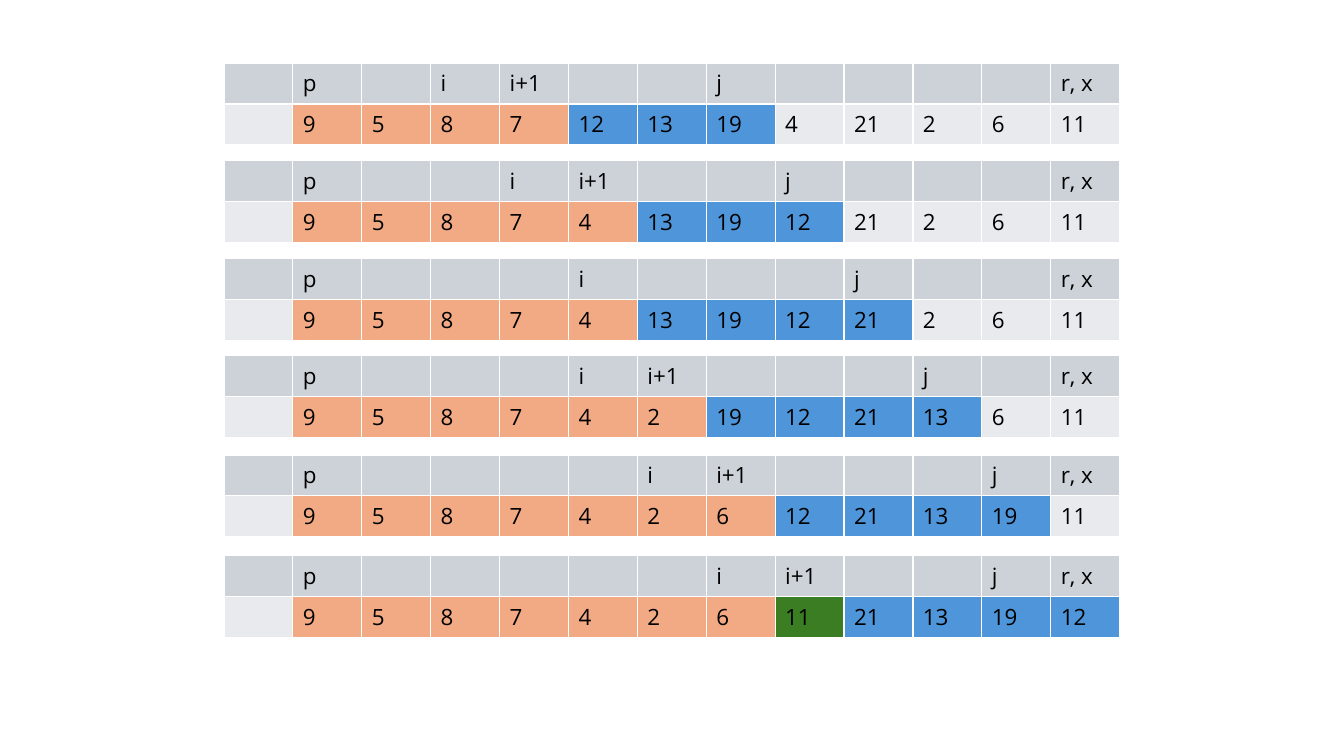
"""Draw the partition steps of quicksort as six two-row tables on one slide."""
from dataclasses import dataclass

from lxml import etree
from pptx import Presentation
from pptx import util as u
from pptx.dml.color import RGBColor
from pptx.oxml import ns

PX = 6350
COLUMNS = 13


@dataclass(frozen=True)
class Theme:
    font: str = "Open Sans"
    size: int = 16
    ink: str = "000000"
    border: str = "FFFFFF"
    border_pt: int = 1
    header: str = "CCD2D8"
    pending: str = "E8EAED"
    smaller: str = "F2AA84"
    larger: str = "4E95D9"
    pivot: str = "3B7D23"


@dataclass(frozen=True)
class Step:
    top: int
    values: tuple[int, ...]
    i: int
    j: int
    smaller: int
    larger: int
    pivot: int = 0
    show_next: bool = True

    def labels(self) -> list[str]:
        marks = {1: "p", self.i: "i", self.j: "j", COLUMNS - 1: "r, x"}
        if self.show_next:
            marks[self.i + 1] = "i+1"
        return [marks.get(column, "") for column in range(COLUMNS)]

    def fills(self) -> list[str]:
        groups = (
            [THEME.pending]
            + [THEME.smaller] * self.smaller
            + [THEME.pivot] * self.pivot
            + [THEME.larger] * self.larger
        )
        return groups + [THEME.pending] * (COLUMNS - len(groups))


THEME = Theme()
LEFT, WIDTH, HEIGHT = 320, 1280, 117
STEPS = (
    Step(90, (9, 5, 8, 7, 12, 13, 19, 4, 21, 2, 6, 11), 3, 7, 4, 3),
    Step(229, (9, 5, 8, 7, 4, 13, 19, 12, 21, 2, 6, 11), 4, 8, 5, 3),
    Step(369, (9, 5, 8, 7, 4, 13, 19, 12, 21, 2, 6, 11), 5, 9, 5, 4, show_next=False),
    Step(508, (9, 5, 8, 7, 4, 2, 19, 12, 21, 13, 6, 11), 5, 10, 6, 4),
    Step(650, (9, 5, 8, 7, 4, 2, 6, 12, 21, 13, 19, 11), 6, 11, 7, 4),
    Step(794, (9, 5, 8, 7, 4, 2, 6, 11, 21, 13, 19, 12), 7, 11, 7, 4, pivot=1),
)


def px(length: int) -> u.Emu:
    return u.Emu(length * PX)


def add_borders(cell) -> None:
    properties = cell._tc.get_or_add_tcPr()
    for position, side in enumerate(("lnL", "lnR", "lnT", "lnB")):
        line = etree.Element(ns.qn(f"a:{side}"), w=str(u.Pt(THEME.border_pt)))
        fill = etree.SubElement(line, ns.qn("a:solidFill"))
        etree.SubElement(fill, ns.qn("a:srgbClr"), val=THEME.border)
        properties.insert(position, line)


def format_cell(cell, words: str, fill: str) -> None:
    cell.fill.solid()
    cell.fill.fore_color.rgb = RGBColor.from_string(fill)
    add_borders(cell)
    if words:
        span = cell.text_frame.paragraphs[0].add_run()
        span.text = words
        for name, value in {"name": THEME.font, "size": u.Pt(THEME.size)}.items():
            setattr(span.font, name, value)
        span.font.color.rgb = RGBColor.from_string(THEME.ink)


def draw_step(page, step: Step) -> None:
    frame = page.shapes.add_table(2, COLUMNS, px(LEFT), px(step.top), px(WIDTH), px(HEIGHT))
    table = frame.table
    for name, value in {"first_row": False, "horz_banding": False}.items():
        setattr(table, name, value)
    rows = (
        (step.labels(), [THEME.header] * COLUMNS),
        (["", *map(str, step.values)], step.fills()),
    )
    for row, (texts, fills) in enumerate(rows):
        for column, (words, fill) in enumerate(zip(texts, fills)):
            format_cell(table.cell(row, column), words, fill)


def main() -> None:
    deck = Presentation()
    deck.slide_width, deck.slide_height = px(1920), px(1080)
    page = deck.slides.add_slide(deck.slide_layouts.get_by_name("Blank"))
    for step in STEPS:
        draw_step(page, step)
    deck.save("out.pptx")


if __name__ == "__main__":
    main()
